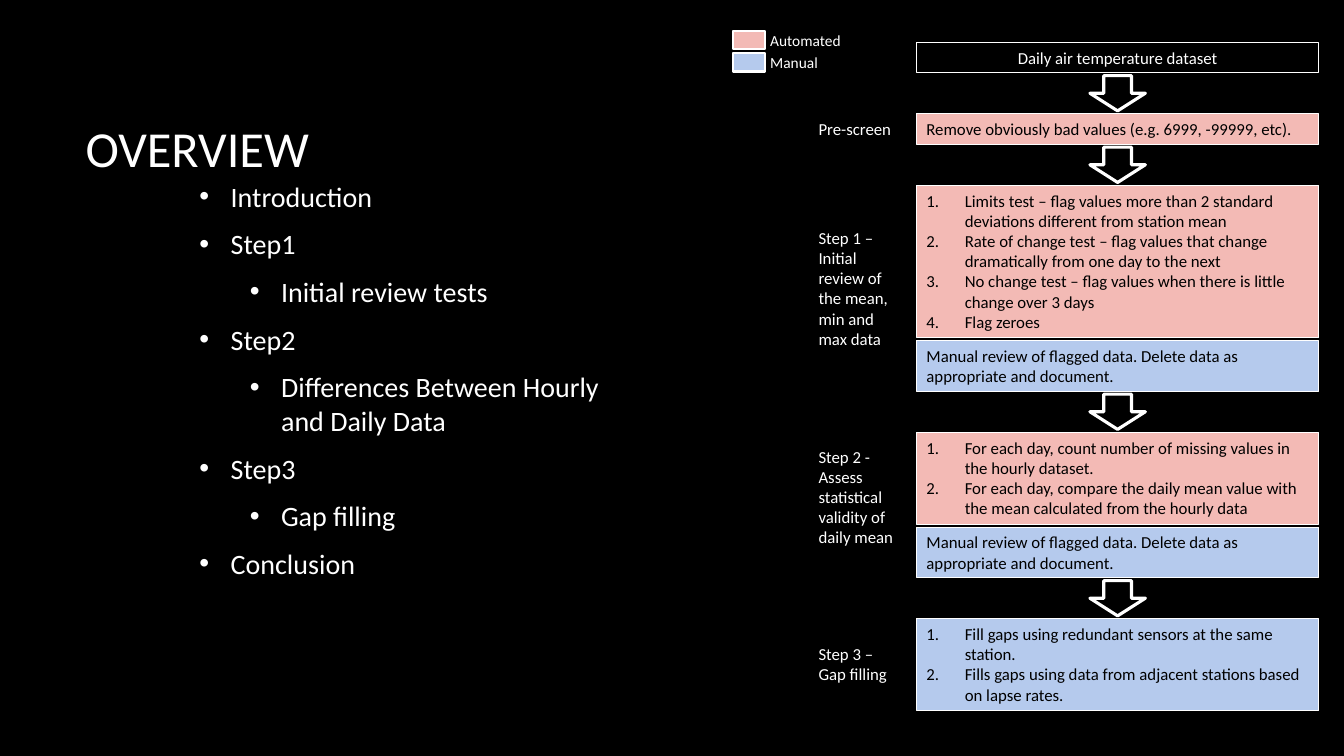
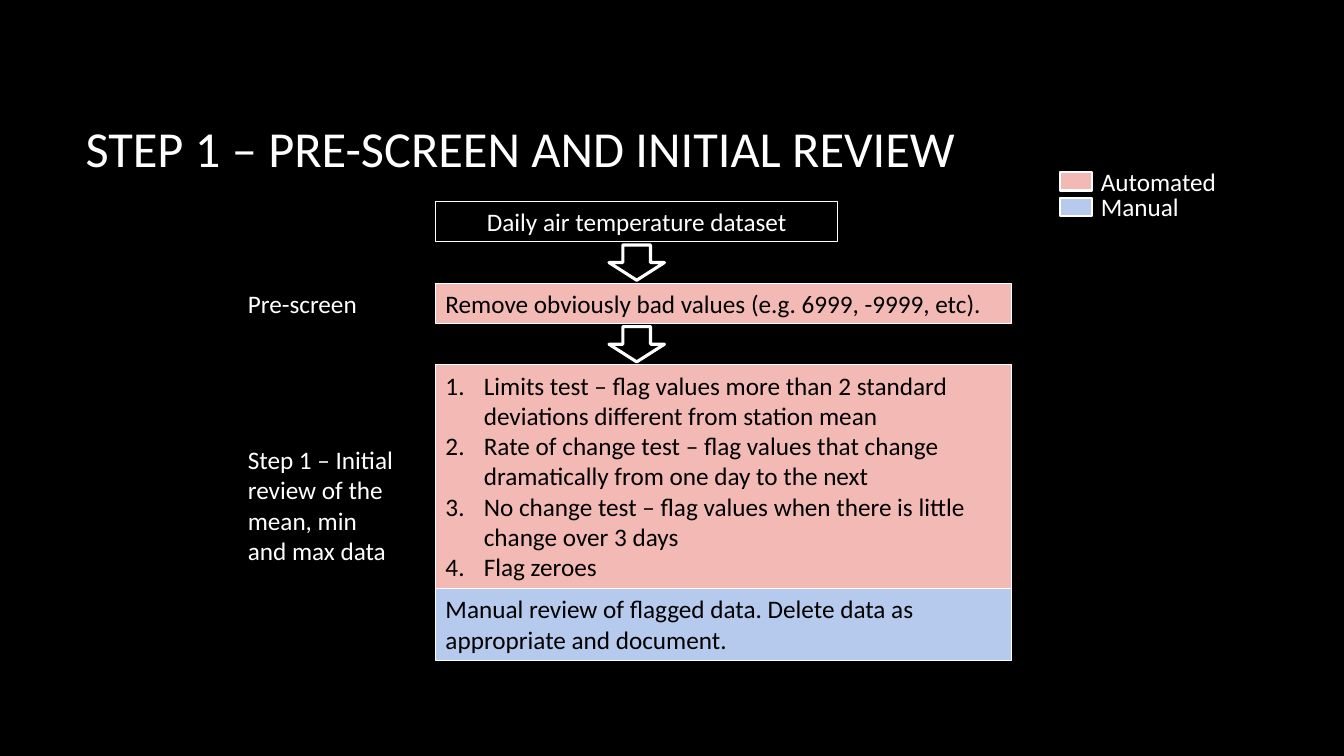
from lxml import etree
from pptx import Presentation
from pptx.dml.color import RGBColor
from pptx.enum.shapes import MSO_SHAPE
from pptx.enum.text import MSO_ANCHOR, PP_ALIGN
from pptx.oxml.ns import qn
from pptx.util import Inches, Pt

RECT, DOWN_ARROW = MSO_SHAPE.RECTANGLE, MSO_SHAPE.DOWN_ARROW
TOP, MIDDLE = MSO_ANCHOR.TOP, MSO_ANCHOR.MIDDLE
LEFT, CENTER = PP_ALIGN.LEFT, PP_ALIGN.CENTER

FONT = "Calibri"
BLACK, WHITE = "000000", "FFFFFF"
AUTOMATED, MANUAL = "F3BAB5", "B5CAED"
LEGEND = [("Automated", AUTOMATED), ("Manual", MANUAL)]
ARROW_GAP = 0.41

# Wording shared by both flow charts
DATASET = "Daily air temperature dataset"
STEP1 = "Step 1 – Initial review of the mean, min and max data"
TESTS = [
    "Limits test – flag values more than 2 standard deviations different from station mean",
    "Rate of change test – flag values that change dramatically from one day to the next",
    "No change test – flag values when there is little change over 3 days",
    "Flag zeroes",
]
REVIEW = "Manual review of flagged data. Delete data as appropriate and document."

OUTLINE = [
    (0, "Introduction"),
    (0, "Step1"),
    (1, "Initial review tests"),
    (0, "Step2"),
    (1, "Differences Between Hourly and Daily Data"),
    (0, "Step3"),
    (1, "Gap filling"),
    (0, "Conclusion"),
]


def rgb(color):
    return RGBColor.from_string(color)


def set_list(p, marker, margin, hang):
    """Give a paragraph a hanging marker: '1.' counts, anything else is a bullet."""
    pPr = p._p.get_or_add_pPr()
    pPr.set("marL", str(Inches(margin)))
    pPr.set("indent", str(-Inches(hang)))
    if marker == "1.":
        etree.SubElement(pPr, qn("a:buAutoNum"), type="arabicPeriod")
    else:
        etree.SubElement(pPr, qn("a:buFont"), typeface="Arial")
        etree.SubElement(pPr, qn("a:buChar"), char=marker)


def write(sp, text, size=12, color=WHITE, align=LEFT, anchor=TOP, wrap=True,
          marker=None, hang=0.38, after=0):
    """Fill a shape; text is a string or a list of strings or (level, string)."""
    tf = sp.text_frame
    tf.word_wrap = wrap
    tf.vertical_anchor = anchor
    for i, item in enumerate([text] if isinstance(text, str) else text):
        level, words = (0, item) if isinstance(item, str) else item
        p = tf.add_paragraph() if i else tf.paragraphs[0]
        p.alignment, p.level, p.space_after = align, level, Pt(after)
        if marker:
            set_list(p, marker, hang + 0.5 * level, hang)
        r = p.add_run()
        r.text = words
        r.font.name, r.font.size = FONT, Pt(size)
        r.font.color.rgb = rgb(color)


def add_text(s, box, text, **fmt):
    write(s.shapes.add_textbox(*map(Inches, box)), text, **fmt)


def add_box(s, kind, box, fill=None, line_width=0.75):
    sp = s.shapes.add_shape(kind, *map(Inches, box))
    sp.shadow.inherit = False
    if fill:
        sp.fill.solid()
        sp.fill.fore_color.rgb = rgb(fill)
    else:
        sp.fill.background()
    sp.line.color.rgb = rgb(WHITE)
    sp.line.width = Pt(line_width)
    return sp


def new_slide(prs, title):
    s = prs.slides.add_slide(prs.slide_layouts[6])
    s.background.fill.solid()
    s.background.fill.fore_color.rgb = rgb(BLACK)
    add_text(s, (0.75, 0.67, 11.08, 1.59), title, size=36, anchor=MIDDLE)
    return s


def add_legend(s, left, top, size, pitch, text_dx):
    for i, (name, color) in enumerate(LEGEND):
        y = top + i * pitch
        add_box(s, RECT, (left, y, 0.32, 0.18), color, 1.5)
        add_text(s, (left + text_dx, y - 0.11, 1.36, 0.4), name,
                 size=size, anchor=MIDDLE, wrap=False)


def add_flow(s, left, top, width, rows, size, label_dx, label_width,
             start_width=3.99, stack_gap=0.0):
    """Stack rows of (height, fill, text, label, label offset).

    A row with a label, or the last before one, is joined by an arrow;
    a row without a label sits directly under the row above it.
    """
    y = top
    middle = left + start_width / 2
    for i, (height, fill, text, label, offset) in enumerate(rows):
        if i and label:
            add_box(s, DOWN_ARROW, (middle - 0.275, y + 0.03, 0.55, 0.35),
                    line_width=2.25)
            y += ARROW_GAP
        elif i:
            y += stack_gap
        sp = add_box(s, RECT, (left, y, width if fill else start_width, height), fill)
        write(sp, text, size=size, color=BLACK if fill else WHITE,
              align=LEFT if fill else CENTER,
              marker=None if isinstance(text, str) else "1.")
        if label:
            add_text(s, (left - label_dx, y + offset, label_width, height),
                     label, size=size, wrap=" " in label)
        y += height


def overview_slide(prs):
    s = new_slide(prs, "OVERVIEW")
    add_text(s, (1.88, 1.73, 4.53, 4.3), OUTLINE, size=20,
             marker="•", hang=0.31, after=10)
    rows = [
        (0.3, None, DATASET, None, 0),
        (0.3, AUTOMATED, "Remove obviously bad values (e.g. 6999, -99999, etc).",
         "Pre-screen", 0),
        (1.51, AUTOMATED, TESTS, STEP1, 0.37),
        (0.5, MANUAL, REVIEW, None, 0),
        (0.91, AUTOMATED, [
            "For each day, count number of missing values in the hourly dataset.",
            "For each day, compare the daily mean value with the mean calculated "
            "from the hourly data",
        ], "Step 2 - Assess statistical validity of daily mean", 0.09),
        (0.5, MANUAL, REVIEW, None, 0),
        (0.91, MANUAL, [
            "Fill gaps using redundant sensors at the same station.",
            "Fills gaps using data from adjacent stations based on lapse rates.",
        ], "Step 3 – Gap filling", 0.2),
    ]
    add_flow(s, 9.09, 0.42, 3.99, rows, size=12, label_dx=1.07,
             label_width=0.94, stack_gap=0.03)
    add_legend(s, 7.27, 0.31, size=11, pitch=0.22, text_dx=0.27)


def step1_slide(prs):
    s = new_slide(prs, "STEP 1 – PRE-SCREEN AND INITIAL REVIEW")
    rows = [
        (0.4, None, DATASET, None, 0),
        (0.4, AUTOMATED, "Remove obviously bad values (e.g. 6999, -9999, etc).",
         "Pre-screen", 0),
        (2.22, AUTOMATED, TESTS, STEP1, 0.74),
        (0.71, MANUAL, REVIEW, None, 0),
    ]
    add_flow(s, 4.32, 2, 5.71, rows, size=18, label_dx=1.96, label_width=1.67)
    add_legend(s, 10.51, 1.71, size=18, pitch=0.25, text_dx=0.31)


def main():
    prs = Presentation()
    prs.slide_width, prs.slide_height = Inches(13.33), Inches(7.5)
    overview_slide(prs)
    step1_slide(prs)
    prs.save("out.pptx")


if __name__ == "__main__":
    main()
